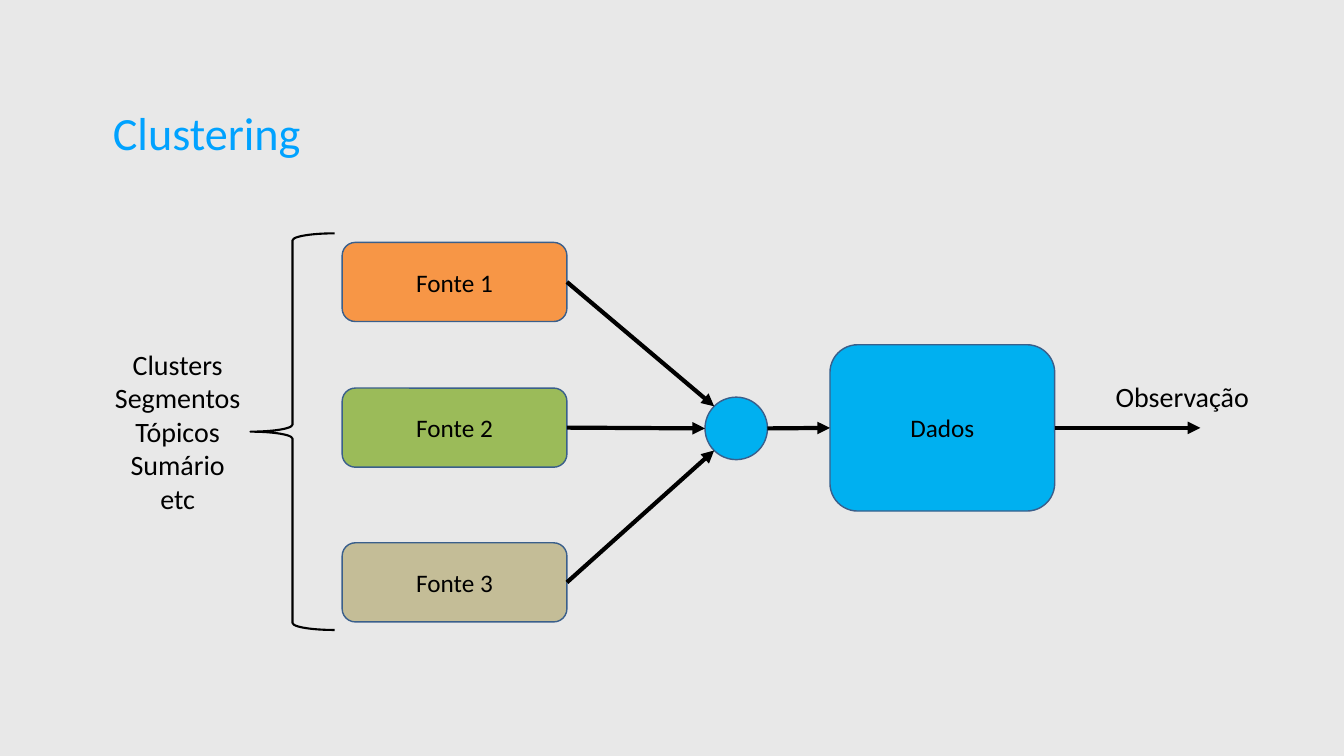
from math import sqrt

from lxml.etree import SubElement
from pptx import Presentation
from pptx.dml.color import RGBColor
from pptx.enum.shapes import MSO_CONNECTOR, MSO_SHAPE
from pptx.enum.text import MSO_ANCHOR, PP_ALIGN
from pptx.oxml.ns import qn
from pptx.util import Inches, Pt

FONT = "Calibri"
BLACK = "000000"
BLUE = "00B0F0"
OUTLINE = "3A5F8B"
LEFT_SIDE, RIGHT_SIDE = 1, 3


def color(value):
    return RGBColor.from_string(value)


def write_lines(frame, lines, size, ink=BLACK, align=PP_ALIGN.CENTER):
    frame.word_wrap = True
    for index, line in enumerate(lines):
        paragraph = frame.paragraphs[0] if index == 0 else frame.add_paragraph()
        paragraph.alignment = align
        span = paragraph.add_run()
        span.text = line
        span.font.name = FONT
        span.font.size = Pt(size)
        span.font.color.rgb = color(ink)


def add_label(page, place, lines, size, ink=BLACK, align=PP_ALIGN.LEFT):
    box = page.shapes.add_textbox(*map(Inches, place))
    write_lines(box.text_frame, lines, size, ink, align)
    return box


def add_node(page, kind, place, fill, text=None):
    node = page.shapes.add_shape(kind, *map(Inches, place))
    node.shadow.inherit = False
    node.fill.solid()
    node.fill.fore_color.rgb = color(fill)
    node.line.color.rgb = color(OUTLINE)
    node.line.width = Pt(2)
    if text:
        node.text_frame.vertical_anchor = MSO_ANCHOR.MIDDLE
        write_lines(node.text_frame, [text], 36)
    return node


def add_arrow(page, start, end, source=None, target=None):
    arrow = page.shapes.add_connector(
        MSO_CONNECTOR.STRAIGHT, *map(Inches, (*start, *end)))
    arrow.line.color.rgb = color(BLACK)
    arrow.line.width = Pt(6)
    SubElement(arrow.line._get_or_add_ln(), qn("a:tailEnd"), type="triangle")
    SubElement(arrow._element.spPr, qn("a:effectLst"))
    if source:
        arrow.begin_connect(source, RIGHT_SIDE)
    if target:
        arrow.end_connect(target, LEFT_SIDE)


def add_brace(page, place):
    brace = page.shapes.add_shape(MSO_SHAPE.LEFT_BRACE, *map(Inches, place))
    brace.shadow.inherit = False
    brace.fill.background()
    brace.line.color.rgb = color(BLACK)
    brace.line.width = Pt(3)


def main():
    deck = Presentation()
    deck.slide_width = Inches(26.67)
    deck.slide_height = Inches(15)
    page = deck.slides.add_slide(deck.slide_layouts[6])
    page.background.fill.solid()
    page.background.fill.fore_color.rgb = color("E8E8E8")

    title = add_label(page, (2.18, 2.01, 15.61, 1.21), ["Clustering"], 66, "00A2FF")
    title.text_frame.vertical_anchor = MSO_ANCHOR.MIDDLE
    title.text_frame.margin_left = Inches(0.06)

    data = add_node(page, MSO_SHAPE.ROUNDED_RECTANGLE,
                    (16.47, 6.84, 4.46, 3.3), BLUE, "Dados")

    radius = 0.62
    center_x, center_y = 14.61, 8.5
    diagonal = radius / sqrt(2)
    add_node(page, MSO_SHAPE.OVAL,
             (center_x - radius, center_y - radius, 2 * radius, 2 * radius), BLUE)

    left, width, height = 6.79, 4.46, 1.57
    sources = [
        ("Fonte 1", 4.81, "F79646", (center_x - diagonal, center_y - diagonal)),
        ("Fonte 2", 7.7, "9BBB59", (center_x - radius, center_y)),
        ("Fonte 3", 10.77, "C4BD97", (center_x - diagonal, center_y + diagonal)),
    ]
    for name, top, fill, meeting_point in sources:
        source = add_node(page, MSO_SHAPE.ROUNDED_RECTANGLE,
                          (left, top, width, height), fill, name)
        add_arrow(page, (left + width, top + height / 2), meeting_point, source)

    add_arrow(page, (center_x + radius, center_y), (16.47, 8.49), target=data)
    add_arrow(page, (20.93, 8.49), (23.82, 8.49), source=data)

    add_label(page, (22.04, 7.49, 3.57, 0.76), ["Observação"], 40)
    add_brace(page, (4.97, 4.63, 1.67, 7.87))
    add_label(page, (0.56, 6.84, 5.93, 3.43),
              ["Clusters", "Segmentos", "Tópicos", "Sumário", "etc"],
              40, align=PP_ALIGN.CENTER)

    deck.save("out.pptx")


if __name__ == "__main__":
    main()
